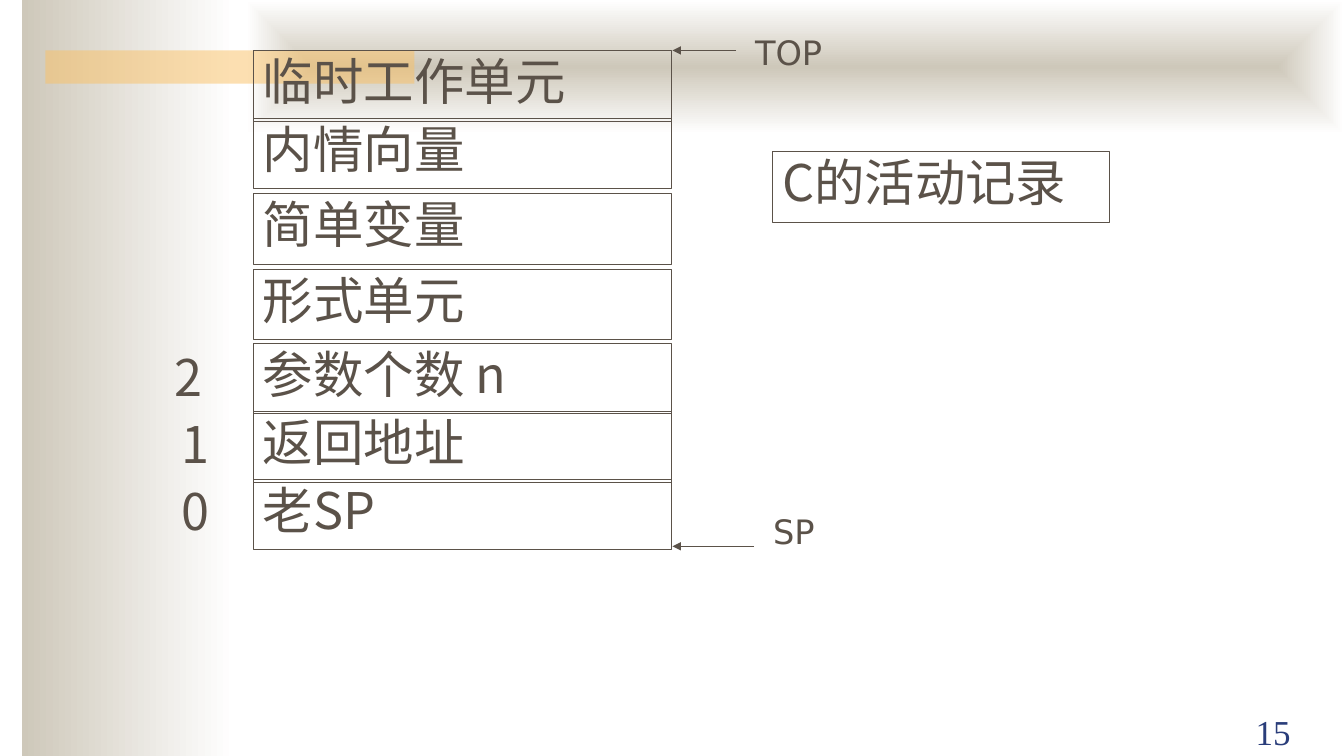
from lxml import etree
from pptx import Presentation
from pptx.dml.color import RGBColor
from pptx.enum import shapes, text
from pptx.oxml import ns
from pptx.util import Inches, Pt

COLORS = {"ink": "5B5249", "sand": "CEC8BA", "white": "FFFFFF",
          "orange": "FAC164", "number": "2A3D7A"}
CJK, LATIN, SERIF = "Noto Sans CJK JP", "DejaVu Sans", "Times New Roman"

# Record fields from the top of the stack down: (text, top)
FIELDS = [("临时工作单元", 0.5), ("内情向量", 1.17), ("简单变量", 1.92),
          ("形式单元", 2.67), ("参数个数 n", 3.4), ("返回地址", 4.08),
          ("老SP", 4.75)]
FIELD_LEFT, FIELD_WIDTH, FIELD_HEIGHT = 2.51, 4.15, 0.7
CAPTION = ("C的活动记录", (7.66, 1.5, 3.34, 0.7))
OFFSETS = [("0", (1.7, 4.83, 0.63, 0.65)), ("1", (1.7, 4.17, 0.72, 0.65)),
           ("2", (1.63, 3.5, 0.7, 0.65))]
# Pointers: (name, label box, arrow start x, arrow y)
POINTERS = [("SP", (7.57, 5, 1.08, 0.5), 7.48, 5.42),
            ("TOP", (7.39, 0.25, 1.17, 0.5), 7.3, 0.5)]
POINTER_END = 6.67
PAGE_NUMBER = ("15", (12, 7.01, 1.34, 0.5))


def rgb(name):
    return RGBColor.from_string(COLORS[name])


def add_xml(parent, tag, **attrs):
    return etree.SubElement(parent, ns.qn(tag), attrs)


def add_rect(slide, box):
    sp = slide.shapes.add_shape(shapes.MSO_SHAPE.RECTANGLE, *map(Inches, box))
    sp.shadow.inherit = False
    sp.fill.background()
    sp.line.fill.background()
    return sp


def add_gradient(slide, box, from_center=False):
    """Sand to white, left to right or from the centre outwards."""
    sp = add_rect(slide, box)
    sp.fill.gradient()
    for stop, name in zip(sp.fill.gradient_stops, ("sand", "white")):
        stop.color.rgb = rgb(name)
    sp.fill.gradient_angle = 0
    if from_center:
        lin = sp._element.spPr.find(".//" + ns.qn("a:lin"))
        grad = lin.getparent()
        grad.remove(lin)
        shape_path = add_xml(grad, "a:path", path="shape")
        add_xml(shape_path, "a:fillToRect", **dict.fromkeys("ltrb", "50000"))


def add_text(slide, content, box, size=36, font=CJK, color="ink", framed=False,
             align=text.PP_ALIGN.LEFT, anchor=text.MSO_ANCHOR.TOP,
             top=0, right=0.1, spacing=None):
    if framed:
        sp = add_rect(slide, box)
        sp.line.color.rgb = rgb(color)
        sp.line.width = Pt(0.25)
    else:
        sp = slide.shapes.add_textbox(*map(Inches, box))
    tf = sp.text_frame
    tf.word_wrap = True
    tf.auto_size = text.MSO_AUTO_SIZE.NONE
    tf.vertical_anchor = anchor
    tf.margin_top, tf.margin_right = Inches(top), Inches(right)
    p = tf.paragraphs[0]
    p.alignment = align
    p.line_spacing = spacing
    r = p.add_run()
    r.text = content
    r.font.size, r.font.name = Pt(size), font
    r.font.color.rgb = rgb(color)
    add_xml(r._r.get_or_add_rPr(), "a:ea", typeface=font)


def add_arrow(slide, x1, x2, y):
    line = slide.shapes.add_connector(
        shapes.MSO_CONNECTOR.STRAIGHT, *map(Inches, (x1, y, x2, y)))
    line.line.color.rgb = rgb("ink")
    line.line.width = Pt(0.75)
    add_xml(line.line._get_or_add_ln(), "a:tailEnd", type="triangle")
    add_xml(line._element.spPr, "a:effectLst")


def add_background(slide):
    add_gradient(slide, (0.22, 0, 2.11, 7.5))
    add_gradient(slide, (2.44, 0, 10.89, 1.33), from_center=True)
    bar = add_rect(slide, (0.45, 0.5, 3.66, 0.33))
    bar.fill.solid()
    bar.fill.fore_color.rgb = rgb("orange")
    color = bar._element.spPr.find(".//" + ns.qn("a:srgbClr"))
    add_xml(color, "a:alpha", val="50000")


def main():
    prs = Presentation()
    prs.slide_width, prs.slide_height = Inches(13.33), Inches(7.5)
    slide = prs.slides.add_slide(prs.slide_layouts[6])
    add_background(slide)
    add_text(slide, *PAGE_NUMBER, size=25, font=SERIF, color="number",
             align=text.PP_ALIGN.RIGHT, anchor=text.MSO_ANCHOR.BOTTOM,
             right=0.54)
    add_text(slide, *CAPTION, framed=True)
    for content, y in FIELDS:
        add_text(slide, content, (FIELD_LEFT, y, FIELD_WIDTH, FIELD_HEIGHT),
                 framed=True)
    for name, box, start, y in POINTERS:
        add_arrow(slide, start, POINTER_END, y)
        add_text(slide, name, box, size=24, font=LATIN, top=0.07)
    for content, box in OFFSETS:
        add_text(slide, content, box, spacing=0.9)
    prs.save("out.pptx")


if __name__ == "__main__":
    main()
